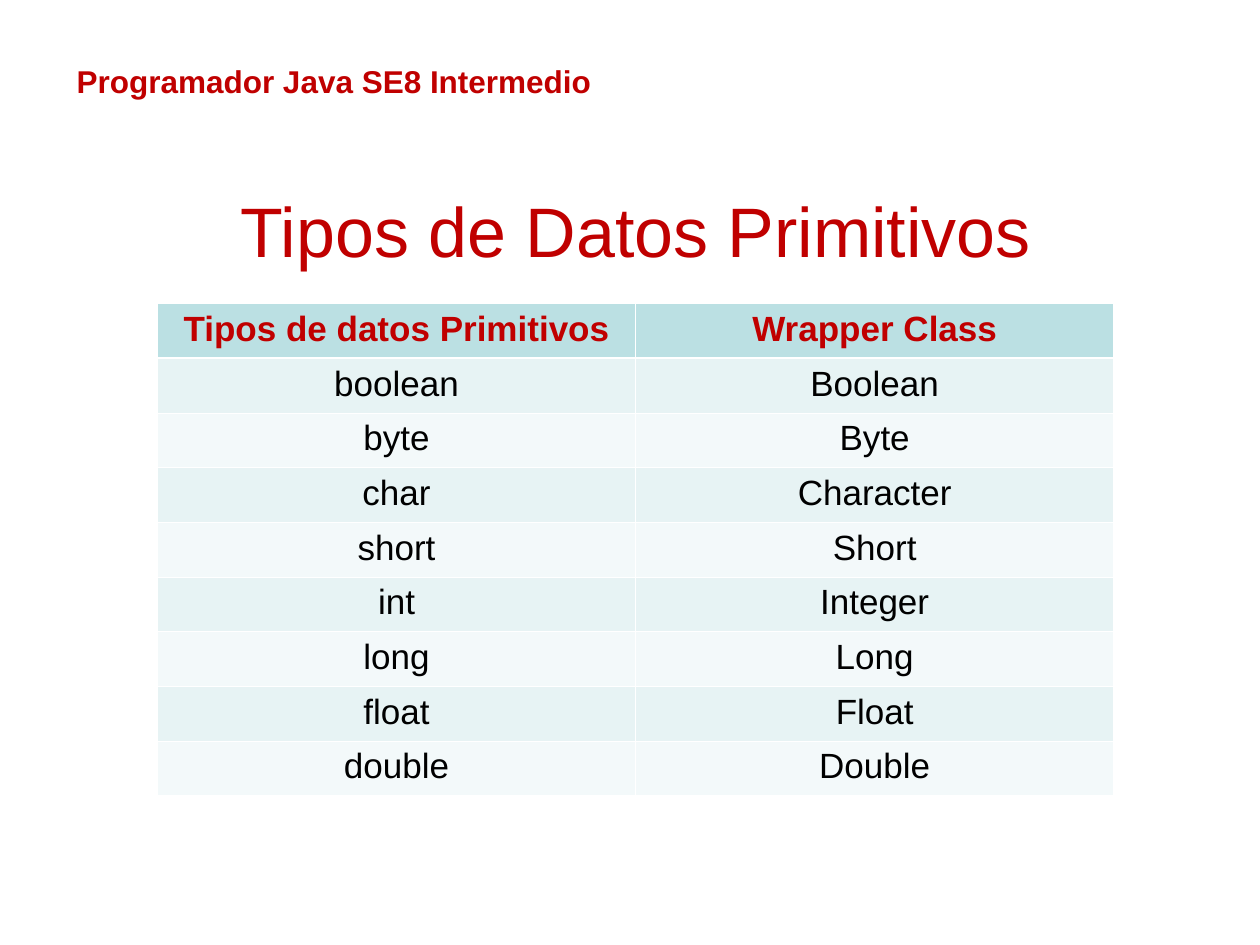
from lxml import etree
from pptx import Presentation
from pptx.dml.color import RGBColor
from pptx.enum.text import MSO_ANCHOR, PP_ALIGN
from pptx.oxml.ns import qn
from pptx.util import Inches, Pt

LEFT, CENTER = PP_ALIGN.LEFT, PP_ALIGN.CENTER
TOP, MIDDLE = MSO_ANCHOR.TOP, MSO_ANCHOR.MIDDLE
TITLE_ONLY = 5
FONT = "Arial"
RED, BLACK, WHITE = "C00000", "000000", "FFFFFF"
HEADER_FILL = "BBE0E3"
BAND_FILLS = ("E7F3F4", "F3F9FA")
THIN, THICK = 0.45, 1.47

TYPES = [
    ("Tipos de datos Primitivos", "Wrapper Class"),
    ("boolean", "Boolean"),
    ("byte", "Byte"),
    ("char", "Character"),
    ("short", "Short"),
    ("int", "Integer"),
    ("long", "Long"),
    ("float", "Float"),
    ("double", "Double"),
]


def color(hex_value):
    return RGBColor.from_string(hex_value)


def write(frame, text, size, hex_value, bold=False, align=LEFT):
    paragraph = frame.paragraphs[0]
    paragraph.alignment = align
    run = paragraph.add_run()
    run.text = text
    run.font.name = FONT
    run.font.size = Pt(size)
    run.font.bold = bold
    run.font.color.rgb = color(hex_value)


def set_borders(cell, top, bottom):
    """Add white cell borders, ahead of the fill as the schema requires."""
    properties = cell._tc.get_or_add_tcPr()
    widths = {"a:lnL": THIN, "a:lnR": THIN, "a:lnT": top, "a:lnB": bottom}
    for position, (tag, width) in enumerate(widths.items()):
        line = etree.Element(qn(tag), w=str(Pt(width)))
        fill = etree.SubElement(line, qn("a:solidFill"))
        etree.SubElement(fill, qn("a:srgbClr"), val=WHITE)
        properties.insert(position, line)


def add_course_name(slide, left, top, width, height):
    frame = slide.shapes.add_textbox(left, top, width, height).text_frame
    frame.word_wrap = True
    frame.vertical_anchor = MIDDLE
    write(frame, "Programador Java SE8 Intermedio", 18, RED, bold=True)


def place_title(slide, left, top, width, height):
    title = slide.shapes.title
    title.left, title.top, title.width, title.height = left, top, width, height
    title.text_frame.vertical_anchor = MIDDLE
    write(title.text_frame, "Tipos de Datos Primitivos", 40, RED, align=CENTER)


def add_types_table(slide, left, top, width, height):
    table = slide.shapes.add_table(
        len(TYPES), len(TYPES[0]), left, top, width, height).table
    for row, names in enumerate(TYPES):
        is_header = row == 0
        fill = HEADER_FILL if is_header else BAND_FILLS[(row - 1) % 2]
        for column, name in enumerate(names):
            cell = table.cell(row, column)
            cell.vertical_anchor = TOP
            cell.fill.solid()
            cell.fill.fore_color.rgb = color(fill)
            set_borders(cell, THICK if row == 1 else THIN,
                        THICK if is_header else THIN)
            write(cell.text_frame, name, 20, RED if is_header else BLACK,
                  bold=is_header, align=CENTER)


def main():
    prs = Presentation()
    prs.slide_width, prs.slide_height = Inches(10), Inches(7.5)
    slide = prs.slides.add_slide(prs.slide_layouts[TITLE_ONLY])
    slide.background.fill.solid()
    slide.background.fill.fore_color.rgb = color(WHITE)

    # Course name, slide title, then the type table
    add_course_name(slide, Inches(0.51), Inches(0.44), Inches(4.65), Inches(0.4))
    place_title(slide, Inches(1.46), Inches(1.39), Inches(7.17), Inches(0.87))
    add_types_table(slide, Inches(1.25), Inches(2.41), Inches(7.59), Inches(3.9))
    prs.save("out.pptx")


if __name__ == "__main__":
    main()
